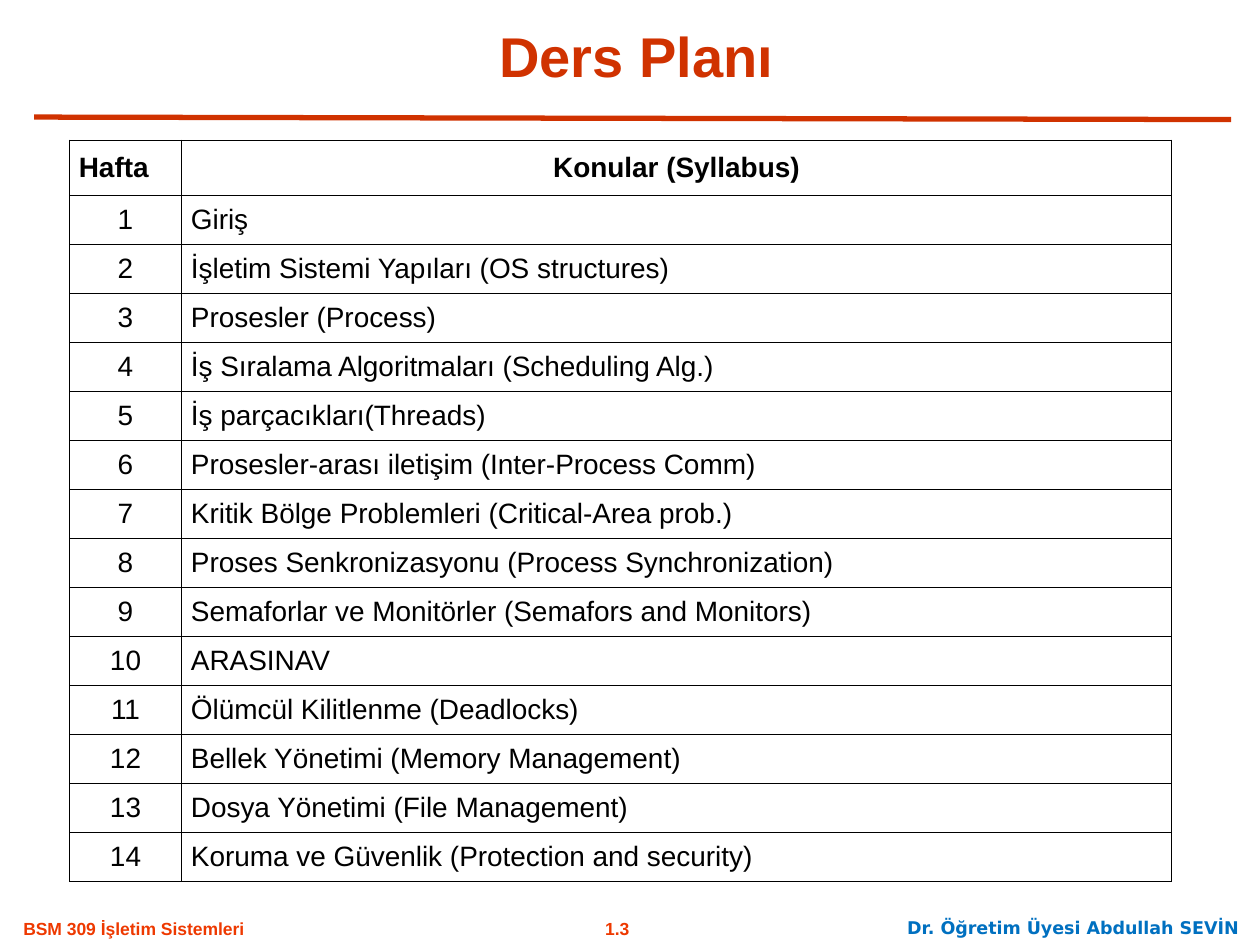
import pptx
import pptx.dml.color
import pptx.enum.shapes
import pptx.enum.text
import pptx.oxml.ns
import pptx.util
from lxml import etree

Cm = pptx.util.Cm
Pt = pptx.util.Pt
ALIGN = pptx.enum.text.PP_ALIGN
ANCHOR = pptx.enum.text.MSO_ANCHOR

COLOURS = {
    "heading": "D03200",
    "footer": "EE3900",
    "lecturer": "0070C0",
    "table": "000000",
}

TOPICS = [
    "Giriş",
    "İşletim Sistemi Yapıları (OS structures)",
    "Prosesler (Process)",
    "İş Sıralama Algoritmaları (Scheduling Alg.)",
    "İş parçacıkları(Threads)",
    "Prosesler-arası iletişim (Inter-Process Comm)",
    "Kritik Bölge Problemleri (Critical-Area prob.)",
    "Proses Senkronizasyonu (Process Synchronization)",
    "Semaforlar ve Monitörler (Semafors and Monitors)",
    "ARASINAV",
    "Ölümcül Kilitlenme (Deadlocks)",
    "Bellek Yönetimi (Memory Management)",
    "Dosya Yönetimi (File Management)",
    "Koruma ve Güvenlik (Protection and security)",
]


def rgb(name):
    return pptx.dml.color.RGBColor.from_string(COLOURS[name])


def write(frame, text, size, colour, bold=True, align=ALIGN.LEFT, font="Arial"):
    paragraph = frame.paragraphs[0]
    paragraph.text = text
    paragraph.alignment = align
    paragraph.font.name = font
    paragraph.font.size = Pt(size)
    paragraph.font.bold = bold
    paragraph.font.color.rgb = rgb(colour)


def add_label(slide, box, text, size, colour, anchor=ANCHOR.TOP, **style):
    frame = slide.shapes.add_textbox(*(Cm(length) for length in box)).text_frame
    frame.word_wrap = True
    frame.vertical_anchor = anchor
    write(frame, text, size, colour, **style)
    return frame


def add_heading(slide, left, top, width, height):
    add_label(slide, (left + 0.71, top, 22.86, height - 0.5), "Ders Planı", 32,
              "heading", anchor=ANCHOR.BOTTOM, align=ALIGN.CENTER)
    rule = slide.shapes.add_connector(
        pptx.enum.shapes.MSO_CONNECTOR.STRAIGHT,
        Cm(left), Cm(top + height - 0.05), Cm(left + width), Cm(top + height))
    rule.line.color.rgb = rgb("heading")
    rule.line.width = Pt(3)
    etree.SubElement(rule._element.spPr, pptx.oxml.ns.qn("a:effectLst"))


def add_borders(cell):
    properties = cell._tc.get_or_add_tcPr()
    for side in ("lnL", "lnR", "lnT", "lnB"):
        border = etree.SubElement(properties, pptx.oxml.ns.qn(f"a:{side}"), w=str(Pt(0.45)))
        fill = etree.SubElement(border, pptx.oxml.ns.qn("a:solidFill"))
        etree.SubElement(fill, pptx.oxml.ns.qn("a:srgbClr"), val=COLOURS["table"])


def add_syllabus(slide, left, top, width, height):
    week_width, header_height = 2.26, 1.11
    rows = [("Hafta", "Konular (Syllabus)")]
    rows += [(str(week), topic) for week, topic in enumerate(TOPICS, 1)]
    syllabus = slide.shapes.add_table(
        len(rows), 2, Cm(left), Cm(top), Cm(width), Cm(height)).table
    syllabus.first_row = False
    syllabus.horz_banding = False
    syllabus.columns[0].width = Cm(week_width)
    syllabus.columns[1].width = Cm(width - week_width)
    for index, row in enumerate(rows):
        is_header = index == 0
        syllabus.rows[index].height = Cm(
            header_height if is_header else (height - header_height) / len(TOPICS))
        for column, text in enumerate(row):
            cell = syllabus.cell(index, column)
            cell.vertical_anchor = ANCHOR.MIDDLE
            cell.margin_left = cell.margin_right = Cm(0.19)
            cell.margin_top = cell.margin_bottom = Cm(0.13)
            add_borders(cell)
            cell.fill.background()
            centred = is_header == (column == 1)
            write(cell.text_frame, text, 16, "table", bold=is_header,
                  align=ALIGN.CENTER if centred else ALIGN.LEFT)


def add_footer(slide, left, top, width, height):
    add_label(slide, (left + 0.22, top + 0.03, 5.2, height), "BSM 309 İşletim Sistemleri",
              10, "footer")
    add_label(slide, (left + 11.2, top + 0.03, 2.49, height), "1.3",
              10, "footer", align=ALIGN.CENTER)
    lecturer_width = 7.54
    lecturer = add_label(
        slide, (left + width - lecturer_width, top, lecturer_width, height),
        "Dr. Öğretim Üyesi Abdullah SEVİN", 10, "lecturer", font="DejaVu Sans")
    lecturer.margin_left = Cm(0.43)
    lecturer.margin_right = Cm(0.1)


def main():
    presentation = pptx.Presentation()
    presentation.slide_width = Cm(25.4)
    presentation.slide_height = Cm(19.05)
    slide = presentation.slides.add_slide(presentation.slide_layouts[6])
    add_heading(slide, 0.69, -1.04, 24.13, 3.45)
    add_syllabus(slide, 1.4, 2.82, 22.22, 14.95)
    add_footer(slide, 0, 18.36, 25.4, 0.69)
    presentation.save("out.pptx")


if __name__ == "__main__":
    main()
